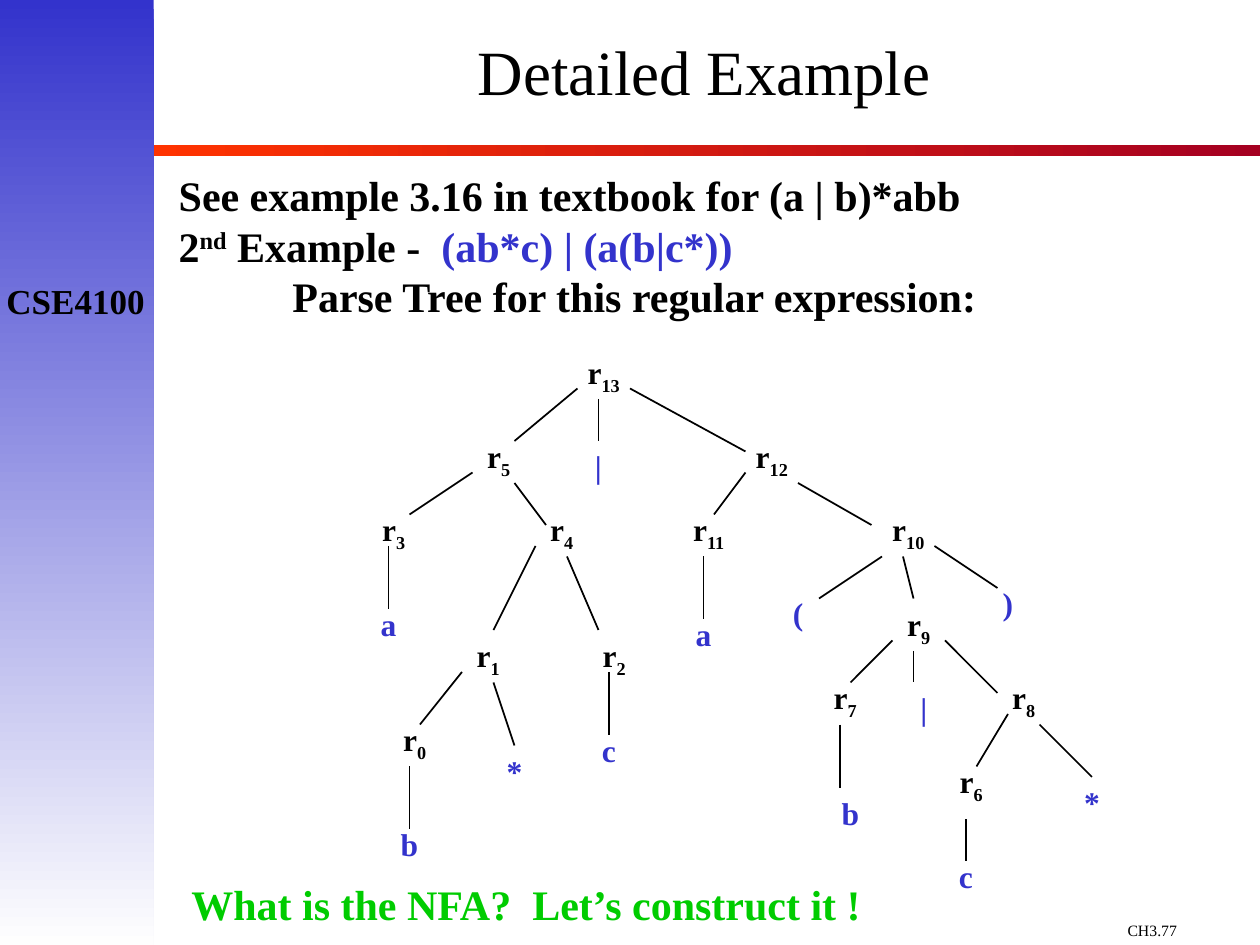
from lxml.etree import SubElement
from pptx import Presentation
from pptx.dml.color import RGBColor
from pptx.enum.shapes import MSO_CONNECTOR, MSO_SHAPE
from pptx.enum.text import MSO_ANCHOR, MSO_AUTO_SIZE as FIT, PP_ALIGN as ALIGN
from pptx.oxml.ns import qn
from pptx.util import Inches, Pt

BLACK = RGBColor(0x00, 0x00, 0x00)
BLUE = RGBColor(0x33, 0x33, 0xCC)
GREEN = RGBColor(0x00, 0xCC, 0x00)
NEAR_WHITE = RGBColor(0xFE, 0xFE, 0xFE)
ORANGE = RGBColor(0xFF, 0x33, 0x00)
CRIMSON = RGBColor(0xA5, 0x00, 0x21)
FONT = "Times New Roman"

# The tree sits on a grid of twelve cells to the inch
CELL = Inches(1) / 12
NODE_W, LEAF_W = 9, 6
NODE_H, LEAF_H = Inches(0.44), Inches(0.4)

# Inner nodes: subscript -> column, row of the box
NODES = {
    "13": (53, 33),
    "5": (43, 41), "12": (69, 41),
    "3": (33, 48), "4": (49, 48), "11": (63, 48), "10": (82, 48),
    "9": (83, 57), "1": (42, 60), "2": (54, 60),
    "7": (76, 64), "8": (93, 64),
    "0": (35, 68), "6": (88, 72),
}
# Leaves: symbol, column, row
LEAVES = [
    ("|", 54, 42), (")", 93, 55), ("(", 73, 56), ("a", 34, 57),
    ("a", 64, 58), ("|", 85, 65), ("c", 55, 69), ("*", 46, 71),
    ("*", 101, 74), ("b", 78, 75), ("b", 36, 78), ("c", 89, 81),
]
# Branches: column, row of the parent end, then of the child end
BRANCHES = [
    (55, 37, 49, 42), (57, 38, 57, 42), (60, 37, 71, 43),   # r13
    (45, 45, 39, 49), (49, 46, 52, 50),                     # r5
    (71, 45, 68, 49), (76, 46, 83, 50),                     # r12
    (37, 52, 37, 58), (67, 53, 67, 59),                     # r3, r11
    (51, 52, 47, 60), (54, 53, 57, 60),                     # r4
    (84, 53, 78, 57), (86, 53, 87, 57), (89, 52, 95, 56),   # r10
    (85, 61, 81, 65), (87, 62, 87, 65), (90, 61, 95, 66),   # r9
    (44, 64, 40, 69), (47, 65, 49, 71), (58, 64, 58, 70),   # r1, r2
    (80, 69, 80, 75), (96, 68, 93, 73), (99, 69, 104, 74),  # r7, r8
    (39, 73, 39, 79), (92, 78, 92, 82),                     # r0, r6
]


def cells(n):
    return round(n * CELL)


def add_run(p, text, size, color=BLACK, bold=True, baseline=0):
    r = p.add_run()
    r.text = text
    for name, value in {"name": FONT, "size": Pt(size), "bold": bold}.items():
        setattr(r.font, name, value)
    r.font.color.rgb = color
    if baseline:
        r.font._element.set("baseline", str(baseline * 1000))


def add_text(shapes, box, paragraphs, size, wrap=True, **formats):
    """Each paragraph is a list of (text, run format) pairs."""
    sp = shapes.add_textbox(*box)
    tf = sp.text_frame
    tf.word_wrap = wrap
    tf.auto_size = FIT.SHAPE_TO_FIT_TEXT
    for i, runs in enumerate(paragraphs):
        p = tf.add_paragraph() if i else tf.paragraphs[0]
        for name, value in formats.items():
            setattr(p, name, value)
        for text, run_format in runs:
            add_run(p, text, size, **run_format)
    return sp


def add_gradient_bar(shapes, box, start, end, angle):
    sp = shapes.add_shape(MSO_SHAPE.RECTANGLE, *box)
    sp.shadow.inherit = False
    sp.line.fill.background()
    sp.fill.gradient()
    sp.fill.gradient_angle = angle
    for stop, color in zip(sp.fill.gradient_stops, (start, end)):
        stop.color.rgb = color


def add_branch(shapes, ends, leaf_tops):
    line = shapes.add_connector(MSO_CONNECTOR.STRAIGHT, *map(cells, ends))
    line.line.color.rgb = BLACK
    line.line.width = Pt(1)
    SubElement(line._element.spPr, qn("a:effectLst"))
    if ends[2:] in leaf_tops:
        line.end_connect(leaf_tops[ends[2:]], 0)


def add_tree(shapes):
    label = {"size": 18, "alignment": ALIGN.CENTER, "space_before": Pt(11.2)}
    for index, (col, row) in NODES.items():
        box = cells(col), cells(row), cells(NODE_W), NODE_H
        add_text(shapes, box, [[("r", {}), (index, {"baseline": -25})]], **label)
    leaf_tops = {}
    for symbol, col, row in LEAVES:
        box = cells(col), cells(row), cells(LEAF_W), LEAF_H
        leaf_tops[col + LEAF_W // 2, row] = add_text(
            shapes, box, [[(symbol, {"color": BLUE})]], **label)
    for ends in BRANCHES:
        add_branch(shapes, ends, leaf_tops)


def set_title(sp, box, text):
    sp.left, sp.top, sp.width, sp.height = box
    tf = sp.text_frame
    formats = {"word_wrap": True, "auto_size": FIT.NONE,
               "vertical_anchor": MSO_ANCHOR.MIDDLE}
    for name, value in formats.items():
        setattr(tf, name, value)
    p = tf.paragraphs[0]
    p.alignment = ALIGN.CENTER
    p.line_spacing = 0.8
    add_run(p, text, 36, bold=False)


def main():
    prs = Presentation()
    prs.slide_width, prs.slide_height = Inches(10), Inches(7.5)
    w, h = prs.slide_width, prs.slide_height

    def share(x, y, width, height):
        return [round(n) for n in (x * w, y * h, width * w, height * h)]

    s = prs.slides.add_slide(prs.slide_layouts[5])
    shapes = s.shapes

    # Frame: rule, side band, page mark and course code
    add_gradient_bar(shapes, (Inches(1.2), Inches(1.15), Inches(8.8), Inches(0.09)),
                     ORANGE, CRIMSON, 0)
    add_gradient_bar(shapes, share(0, 0, 0.122, 1), BLUE, NEAR_WHITE, 270)
    add_text(shapes, share(0.885, 0.968, 0.115, 0.032),
             [[("CH3.77", {"bold": False})]], 9)
    add_text(shapes, (Inches(-0.05), Inches(2.17), Inches(1.3), Inches(0.44)),
             [[("CSE4100", {})]], 20, wrap=False, alignment=ALIGN.CENTER)

    # Title
    set_title(shapes.title, share(0.118, 0, 0.882, 0.163), "Detailed Example")

    # Parse tree
    add_tree(shapes.add_group_shape().shapes)

    # Introduction and closing question
    intro = add_text(shapes, (Inches(1.32), Inches(1.3), Inches(7.43), Inches(1.3)), [
        [("See example 3.16 in textbook for (a | b)*abb", {})],
        [("2", {}), ("nd", {"baseline": 30}), (" Example -  ", {}),
         ("(ab*c) | (a(b|c*))", {"color": BLUE})],
        [("Parse Tree for this regular expression:", {})],
    ], 24)
    intro.text_frame.paragraphs[-1].alignment = ALIGN.CENTER
    add_text(shapes, (Inches(1.42), Inches(6.92), Inches(6.08), Inches(0.5)),
             [[("What is the NFA?  Let’s construct it !", {"color": GREEN})]],
             24, space_before=Pt(15))

    prs.save("out.pptx")


if __name__ == "__main__":
    main()
